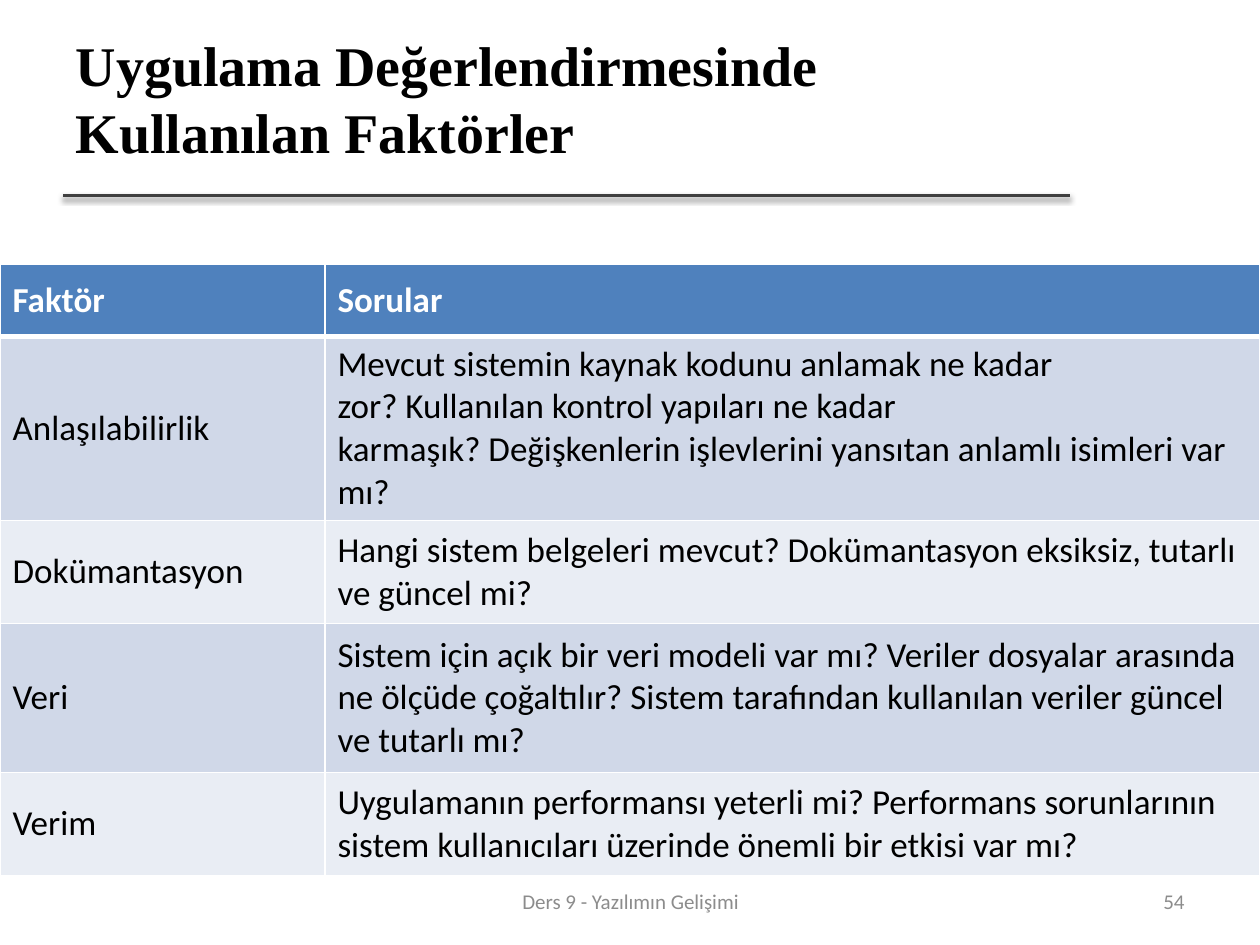
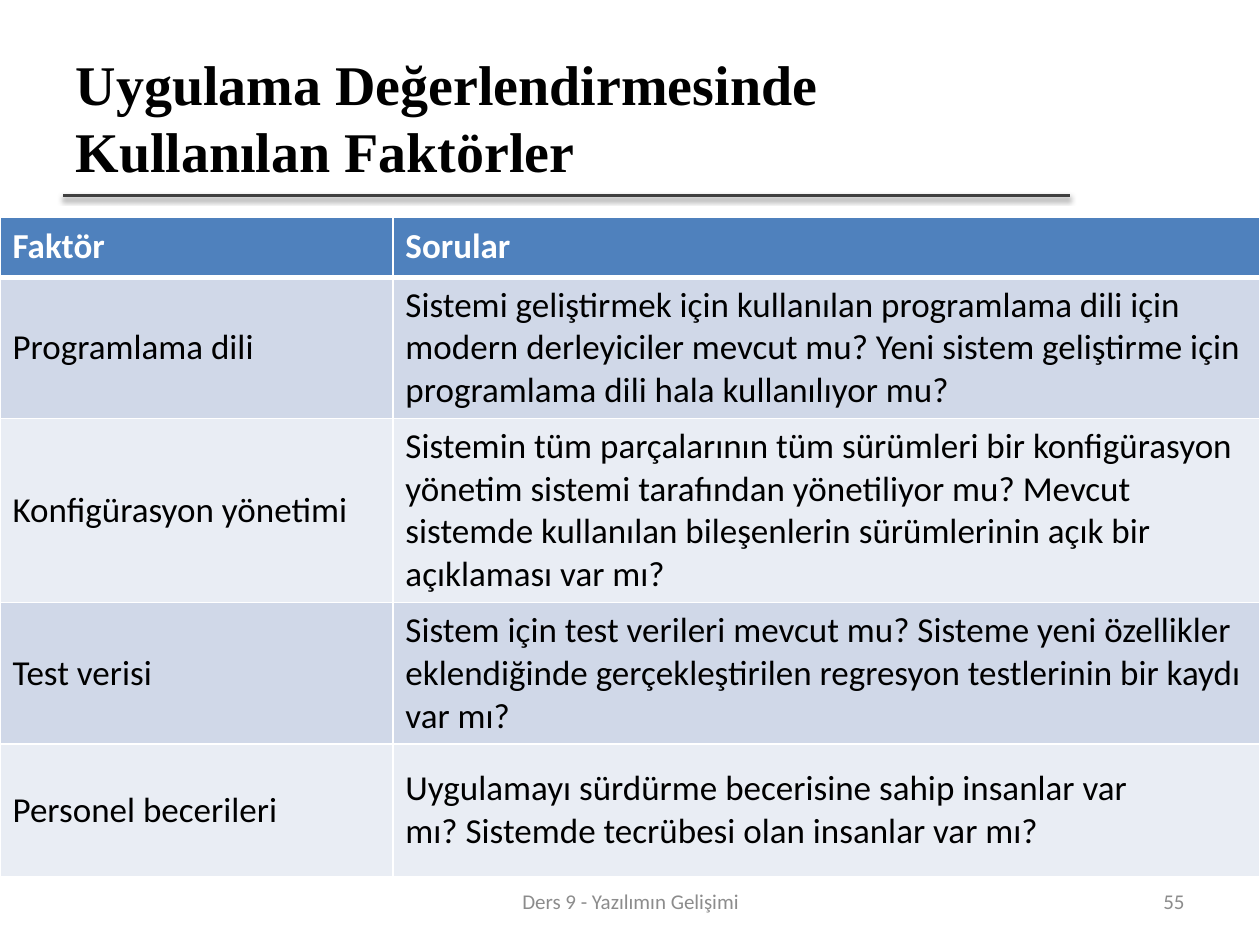
"""Build two slides of application assessment factors, each with a table of questions."""
from dataclasses import dataclass

import lxml.etree
import pptx
import pptx.dml.color
import pptx.enum.shapes
import pptx.enum.text
import pptx.oxml
import pptx.oxml.ns
import pptx.util

Cm = pptx.util.Cm
Pt = pptx.util.Pt
ALIGN = pptx.enum.text.PP_ALIGN

COLORS = {
    "text": "000000",
    "white": "FFFFFF",
    "header": "4F81BD",
    "band_dark": "D0D8E8",
    "band_light": "E9EDF4",
    "rule": "404040",
    "footer": "8C8C8C",
}
BODY_FONT = "Calibri"
TITLE_FONT = "Times New Roman"
TITLE = "Uygulama Değerlendirmesinde Kullanılan Faktörler"
FOOTER = "Ders 9 - Yazılımın Gelişimi"
HEADER = ("Faktör", "Sorular")
SLIDE_WIDTH, SLIDE_HEIGHT = 25.4, 19.05
NO_BREAK_SPACE = chr(160)


@dataclass(frozen=True)
class Box:
    """A rectangle in centimetres."""

    left: float
    top: float
    width: float
    height: float

    def lengths(self) -> tuple:
        return Cm(self.left), Cm(self.top), Cm(self.width), Cm(self.height)


@dataclass(frozen=True)
class FactorSlide:
    """The content and measures of one slide."""

    number: int
    title_box: Box
    table_top: float
    factor_width: float
    row_heights: tuple[float, ...]
    factors: tuple[tuple[str, str], ...]


FOOTER_BOX = Box(8.69, 17.65, 8.05, 1.02)
NUMBER_BOX = Box(18.21, 17.65, 5.92, 1.02)

SLIDES = (
    FactorSlide(
        54, Box(1.27, 0.38, 20.57, 3.18), 5.33, 6.55, (1.45, 3, 2.08, 3, 2.08),
        (
            ("Anlaşılabilirlik",
             "Mevcut sistemin kaynak kodunu anlamak ne kadar zor? "
             "Kullanılan kontrol yapıları ne kadar karmaşık? "
             "Değişkenlerin işlevlerini yansıtan anlamlı isimleri var mı?"),
            ("Dokümantasyon",
             "Hangi sistem belgeleri mevcut? "
             "Dokümantasyon eksiksiz, tutarlı ve güncel mi?"),
            ("Veri",
             "Sistem için açık bir veri modeli var mı? "
             "Veriler dosyalar arasında ne ölçüde çoğaltılır? "
             "Sistem tarafından kullanılan veriler güncel ve tutarlı mı?"),
            ("Verim",
             "Uygulamanın performansı yeterli mi? Performans sorunlarının "
             "sistem kullanıcıları üzerinde önemli bir etkisi var mı?"),
        ),
    ),
    FactorSlide(
        55, Box(1.27, 0.76, 20.27, 3.18), 4.37, 7.92, (1.22, 2.67, 3.45, 2.67, 2.67),
        (
            ("Programlama dili",
             "Sistemi geliştirmek için kullanılan programlama dili için modern "
             "derleyiciler mevcut mu? Yeni sistem geliştirme için programlama "
             "dili hala kullanılıyor mu?"),
            ("Konfigürasyon yönetimi",
             "Sistemin tüm parçalarının tüm sürümleri bir konfigürasyon yönetim "
             "sistemi tarafından yönetiliyor mu? Mevcut sistemde kullanılan "
             "bileşenlerin sürümlerinin açık bir açıklaması var mı?"),
            ("Test verisi",
             "Sistem için test verileri mevcut mu? Sisteme yeni özellikler "
             "eklendiğinde gerçekleştirilen regresyon testlerinin bir kaydı var mı?"),
            ("Personel becerileri",
             "Uygulamayı sürdürme becerisine sahip insanlar var mı? "
             "Sistemde tecrübesi olan insanlar var mı?"),
        ),
    ),
)


def rgb(name: str) -> pptx.dml.color.RGBColor:
    return pptx.dml.color.RGBColor.from_string(COLORS[name])


def write_text(text_frame, text: str, *, size: float, color: str = "text",
               font: str = BODY_FONT, bold: bool = False, align=ALIGN.LEFT) -> None:
    text_frame.word_wrap = True
    paragraph = text_frame.paragraphs[0]
    paragraph.alignment = align
    run = paragraph.add_run()
    run.text = text
    run.font.size = Pt(size)
    run.font.name = font
    run.font.bold = bold
    run.font.color.rgb = rgb(color)


def add_title(slide, box: Box) -> None:
    shape = slide.shapes.title
    shape.left, shape.top, shape.width, shape.height = box.lengths()
    shape.text_frame.auto_size = pptx.enum.text.MSO_AUTO_SIZE.NONE
    shape.text_frame.vertical_anchor = pptx.enum.text.MSO_ANCHOR.MIDDLE
    write_text(shape.text_frame, TITLE, size=32, font=TITLE_FONT, bold=True)


def add_title_rule(slide) -> None:
    rule = slide.shapes.add_connector(
        pptx.enum.shapes.MSO_CONNECTOR.STRAIGHT, Cm(1.27), Cm(3.94), Cm(21.56), Cm(3.94))
    rule.line.color.rgb = rgb("rule")
    rule.line.width = Pt(2)
    rule._element.spPr.append(pptx.oxml.parse_xml(
        f'<a:effectLst {pptx.oxml.ns.nsdecls("a")}>'
        f'<a:outerShdw blurRad="{Pt(3.1)}" dist="{Pt(1.6)}" dir="5400000" rotWithShape="0">'
        f'<a:srgbClr val="{COLORS["text"]}"><a:alpha val="38000"/></a:srgbClr>'
        '</a:outerShdw></a:effectLst>'))


def add_footer_text(slide, box: Box, text: str, align) -> None:
    shape = slide.shapes.add_textbox(*box.lengths())
    shape.text_frame.vertical_anchor = pptx.enum.text.MSO_ANCHOR.MIDDLE
    write_text(shape.text_frame, text, size=12, color="footer", align=align)


def set_borders(cell, **widths: float) -> None:
    properties = cell._tc.get_or_add_tcPr()
    for side, width in widths.items():
        line = lxml.etree.SubElement(
            properties, pptx.oxml.ns.qn(f"a:ln{side}"), w=str(Pt(width)))
        fill = lxml.etree.SubElement(line, pptx.oxml.ns.qn("a:solidFill"))
        lxml.etree.SubElement(fill, pptx.oxml.ns.qn("a:srgbClr"), val=COLORS["white"])


def add_factor_table(slide, content: FactorSlide) -> None:
    rows = (HEADER, *content.factors)
    box = Box(0, content.table_top, SLIDE_WIDTH, sum(content.row_heights))
    table = slide.shapes.add_table(len(rows), len(HEADER), *box.lengths()).table
    table.columns[0].width = Cm(content.factor_width)
    table.columns[1].width = Cm(SLIDE_WIDTH - content.factor_width)
    for row_index, (height, texts) in enumerate(zip(content.row_heights, rows)):
        table.rows[row_index].height = Cm(height)
        is_header = row_index == 0
        band = "band_dark" if row_index % 2 else "band_light"
        for column_index, text in enumerate(texts):
            cell = table.cell(row_index, column_index)
            set_borders(cell, L=1, R=1, T=3 if row_index == 1 else 1, B=3 if is_header else 1)
            cell.fill.solid()
            cell.fill.fore_color.rgb = rgb("header" if is_header else band)
            cell.vertical_anchor = pptx.enum.text.MSO_ANCHOR.MIDDLE
            write_text(cell.text_frame, text.replace("? ", "?" + NO_BREAK_SPACE), size=20,
                       color="white" if is_header else "text", bold=is_header)


def add_factor_slide(presentation, content: FactorSlide) -> None:
    slide = presentation.slides.add_slide(presentation.slide_layouts.get_by_name("Title Only"))
    add_title_rule(slide)
    add_title(slide, content.title_box)
    add_factor_table(slide, content)
    add_footer_text(slide, NUMBER_BOX, str(content.number), ALIGN.RIGHT)
    add_footer_text(slide, FOOTER_BOX, FOOTER, ALIGN.CENTER)


def main() -> None:
    presentation = pptx.Presentation()
    presentation.slide_width = Cm(SLIDE_WIDTH)
    presentation.slide_height = Cm(SLIDE_HEIGHT)
    for content in SLIDES:
        add_factor_slide(presentation, content)
    presentation.save("out.pptx")


if __name__ == "__main__":
    main()
